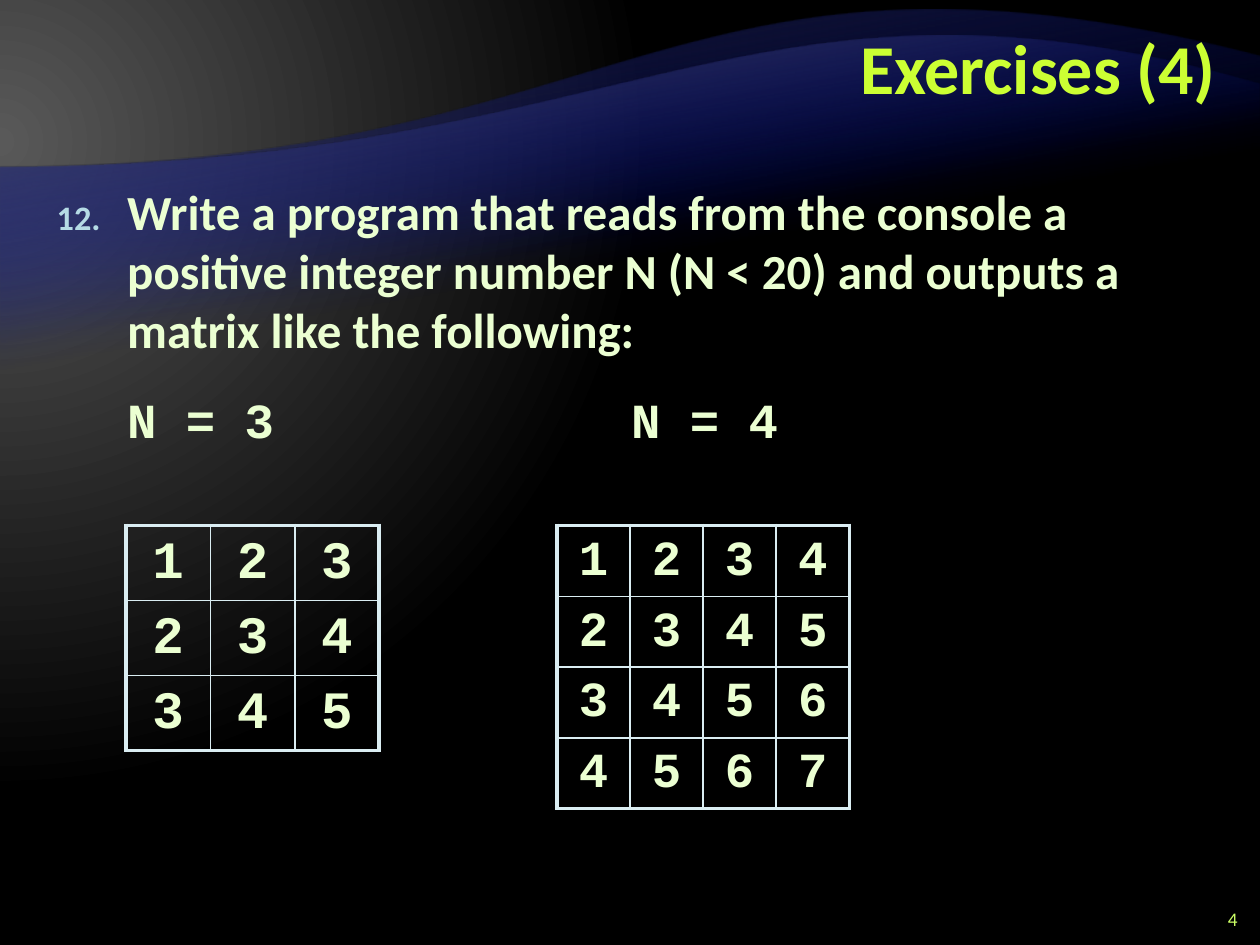
from lxml.etree import SubElement
from pptx import Presentation
from pptx.dml.color import RGBColor
from pptx.enum.text import MSO_ANCHOR, MSO_AUTO_SIZE, PP_ALIGN
from pptx.oxml import parse_xml
from pptx.oxml.ns import nsdecls, qn
from pptx.util import Inches, Pt

# Content
TITLE = "Exercises (4)"
EXERCISE_NUMBER = 12
EXERCISE = ("Write a program that reads from the console a positive integer number "
            "N (N < 20) and outputs a matrix like the following:")
MATRIX_LABELS = "N = 3\t\t\tN = 4"
SLIDE_NUMBER = "4"
# size, left, column width, row height, font size
MATRICES = [(3, 1, 0.67, 0.59, 30), (4, 4.42, 0.58, 0.56, 28)]
MATRIX_TOP = 4.17
# left edge, two control points, right edge, bottom, colour of the crest
WAVES = [
    ((0, 1.33), (5, 1.33), (5.34, -0.75), (10, 0.45), 6.53, "wave_dark"),
    ((0, 1.33), (5, 1.33), (5.98, -0.49), (10, 0.67), 5.57, "wave_light"),
]
COLORS = {
    "glow": "595959", "black": "000000", "wave_blue": "000D9E",
    "wave_dark": "262626", "wave_light": "595959", "title": "CCFF33",
    "number": "CCFF66", "text": "EBFFD2", "bullet": "B5DBE5", "border": "DAEDF2",
}


def replace_with_gradient(solid_fill, stops, direction):
    stop_xml = "".join(
        f'<a:gs pos="{position * 1000}"><a:srgbClr val="{COLORS[color]}">'
        f'<a:alpha val="{alpha * 1000}"/></a:srgbClr></a:gs>'
        for position, color, alpha in stops)
    gradient = parse_xml(f'<a:gradFill {nsdecls("a")} rotWithShape="1">'
                         f'<a:gsLst>{stop_xml}</a:gsLst>{direction}</a:gradFill>')
    solid_fill.getparent().replace(solid_fill, gradient)


def set_font(paragraph, name, size, color, bold=True):
    font = paragraph.font
    font.name, font.size, font.bold = name, Pt(size), bold
    font.color.rgb = RGBColor.from_string(COLORS[color])


def place(shape, left, top, width, height):
    shape.left, shape.top = Inches(left), Inches(top)
    shape.width, shape.height = Inches(width), Inches(height)


def add_wave(slide, layer, start, control_1, control_2, end, bottom, crest):
    steps = 60
    curve = []
    for step in range(steps + 1):
        t = step / steps
        weights = ((1 - t) ** 3, 3 * t * (1 - t) ** 2, 3 * t * t * (1 - t), t ** 3)
        points = (start, control_1, control_2, end)
        curve.append(tuple(Inches(sum(w * p[axis] for w, p in zip(weights, points)))
                           for axis in (0, 1)))
    corners = [(Inches(10), Inches(bottom)), (0, Inches(bottom))]
    builder = slide.shapes.build_freeform(*curve[0])
    builder.add_line_segments(curve[1:] + corners, close=True)
    wave = builder.convert_to_shape()
    wave.shadow.inherit = False
    wave.line.fill.background()
    wave.fill.solid()
    replace_with_gradient(wave.element.xpath("./p:spPr/a:solidFill")[0],
                          [(65, "wave_blue", 0), (100, crest, 100)],
                          f'<a:lin ang="{260 * 60000}" scaled="0"/>')
    wave.element.getparent().insert(2 + layer, wave.element)


def set_borders(cell, widths):
    properties = cell._tc.get_or_add_tcPr()
    for index, (side, width) in enumerate(widths.items()):
        properties.insert(index, parse_xml(
            f'<a:ln{side} {nsdecls("a")} w="{Pt(width)}"><a:solidFill>'
            f'<a:srgbClr val="{COLORS["border"]}"/></a:solidFill></a:ln{side}>'))


def add_matrix(slide, size, left, column_width, row_height, font_size):
    frame = slide.shapes.add_table(size, size, Inches(left), Inches(MATRIX_TOP),
                                   Inches(size * column_width), Inches(size * row_height))
    table = frame.table
    table.first_row = table.horz_banding = False
    last = size - 1
    for index in range(size):
        table.columns[index].width = Inches(column_width)
        table.rows[index].height = Inches(row_height)
    for row in range(size):
        for column in range(size):
            cell = table.cell(row, column)
            cell.text = str(row + column + 1)
            cell.fill.background()
            paragraph = cell.text_frame.paragraphs[0]
            paragraph.alignment = PP_ALIGN.CENTER
            paragraph.line_spacing = 1.05
            set_font(paragraph, "Courier New", font_size, "text")
            outer = {"L": column == 0, "R": column == last, "T": row == 0, "B": row == last}
            set_borders(cell, {side: 2.25 if edge else 1 for side, edge in outer.items()})


presentation = Presentation()
presentation.slide_width, presentation.slide_height = Inches(10), Inches(7.5)
slide = presentation.slides.add_slide(presentation.slide_layouts[1])

# Background and waves
slide.background.fill.solid()
replace_with_gradient(
    slide.element.xpath(".//p:bgPr/a:solidFill")[0],
    [(0, "glow", 100), (83, "black", 100), (100, "black", 100)],
    '<a:path path="circle"><a:fillToRect l="20000" t="30000" r="135000" b="100000"/></a:path>')
for layer, wave in enumerate(WAVES):
    add_wave(slide, layer, *wave)

# Title
title = slide.shapes.title
place(title, 2, 0.08, 7.75, 1)
title.text_frame.text = TITLE
title.text_frame.vertical_anchor = MSO_ANCHOR.MIDDLE
title.text_frame.auto_size = MSO_AUTO_SIZE.NONE
paragraph = title.text_frame.paragraphs[0]
paragraph.alignment = PP_ALIGN.RIGHT
paragraph.line_spacing = Pt(40)
set_font(paragraph, "Calibri", 40, "title")

# Exercise text
body = slide.placeholders[1]
place(body, 0.35, 1.39, 9.13, 2.53)
body.text_frame.text = f"{EXERCISE}\n{MATRIX_LABELS}"
body.text_frame.auto_size = MSO_AUTO_SIZE.NONE
for paragraph, font_name, numbered in zip(body.text_frame.paragraphs,
                                          ("Calibri", "Courier New"), (True, False)):
    paragraph.space_before = Pt(18)
    set_font(paragraph, font_name, 28, "text")
    properties = paragraph._p.get_or_add_pPr()
    properties.set("marL", str(Inches(0.56)))
    properties.set("indent", str(Inches(-0.56) if numbered else 0))
    properties.set("defTabSz", str(Inches(1)))
    bullet = []
    if numbered:
        bullet = [
            f'<a:buClr {nsdecls("a")}><a:srgbClr val="{COLORS["bullet"]}"/></a:buClr>',
            f'<a:buSzPct {nsdecls("a")} val="70000"/>',
            f'<a:buFont {nsdecls("a")} typeface="Calibri"/>',
            f'<a:buAutoNum {nsdecls("a")} type="arabicPeriod" startAt="{EXERCISE_NUMBER}"/>',
        ]
    else:
        bullet = [f'<a:buNone {nsdecls("a")}/>']
    run_defaults = properties.find(qn("a:defRPr"))
    for xml in bullet:
        run_defaults.addprevious(parse_xml(xml))

# Matrices
for matrix in MATRICES:
    add_matrix(slide, *matrix)

# Slide number
number = slide.shapes.add_textbox(Inches(9.42), Inches(7.17), Inches(0.5), Inches(0.25))
number.text_frame.word_wrap = True
number.text_frame.vertical_anchor = MSO_ANCHOR.MIDDLE
number.text_frame.text = SLIDE_NUMBER
paragraph = number.text_frame.paragraphs[0]
paragraph.alignment = PP_ALIGN.RIGHT
set_font(paragraph, "Calibri", 11, "number", bold=False)

presentation.save("out.pptx")
